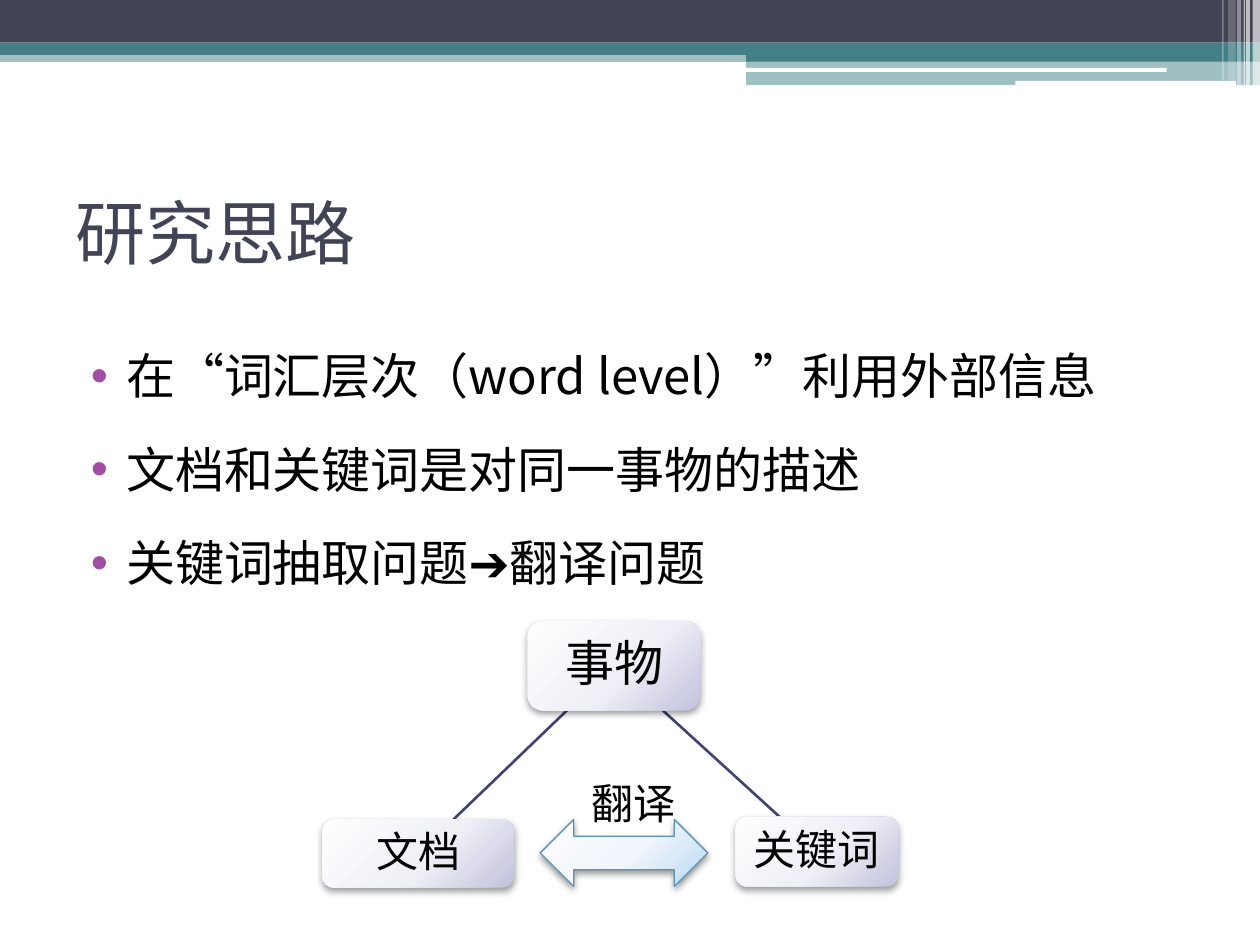
from lxml.etree import SubElement
from pptx import Presentation
from pptx.dml.color import RGBColor
from pptx.enum.lang import MSO_LANGUAGE_ID
from pptx.enum.shapes import MSO_CONNECTOR, MSO_SHAPE
from pptx.enum.text import MSO_ANCHOR, MSO_AUTO_SIZE, PP_ALIGN
from pptx.oxml import parse_xml
from pptx.oxml.ns import nsdecls, qn
from pptx.util import Cm, Pt

SANS = "Noto Sans CJK JP"
INK, TEAL, WHITE, BLACK = "424456", "438086", "FFFFFF", "000000"
LILAC = ("FEFEFE", "F0F1F7", "C2C2DD")
SKY = ("FEFEFF", "EFF5FB", "BAD8F2")


def paint(color, hue):
    color.rgb = RGBColor.from_string(hue)


def write(para, text, size=24, font=SANS, hue=BLACK, align=PP_ALIGN.LEFT, lead=1.0):
    para.alignment, para.line_spacing = align, lead
    run = para.add_run()
    run.text = text
    run.font.size, run.font.name = Pt(size), font
    run.font.language_id = MSO_LANGUAGE_ID.SIMPLIFIED_CHINESE
    paint(run.font.color, hue)
    SubElement(run.font._element, qn("a:ea"), typeface=SANS)


def place(shape, box):
    shape.left, shape.top, shape.width, shape.height = (Cm(v) for v in box)


def block(slide, box, hue, alpha=100, kind=MSO_SHAPE.RECTANGLE):
    """Add a plain shape with a solid fill of alpha percent."""
    shape = slide.shapes.add_shape(kind, *(Cm(v) for v in box))
    shape.shadow.inherit = False
    shape.line.fill.background()
    shape.fill.solid()
    paint(shape.fill.fore_color, hue)
    if alpha < 100:
        tint = shape.fill._xPr.find(".//" + qn("a:srgbClr"))
        SubElement(tint, qn("a:alpha"), val=str(alpha * 1000))
    return shape


def gloss(shape, hues):
    """Give a shape a round gradient and a soft shadow below it."""
    stops = "".join(
        f'<a:gs pos="{pos}000"><a:srgbClr val="{hue}"/></a:gs>'
        for pos, hue in zip((0, 55, 100), hues))
    props = shape._element.spPr
    props.replace(props.find(qn("a:solidFill")), parse_xml(
        f'<a:gradFill {nsdecls("a")} rotWithShape="1"><a:gsLst>{stops}</a:gsLst>'
        '<a:path path="circle"><a:fillToRect l="-40000" t="-90000" r="140000" '
        'b="190000"/></a:path></a:gradFill>'))
    props.replace(props.find(qn("a:effectLst")), parse_xml(
        f'<a:effectLst {nsdecls("a")}><a:outerShdw blurRad="{Pt(4.1)}" '
        f'dist="{Pt(2)}" dir="5400000" rotWithShape="0"><a:srgbClr val="{BLACK}">'
        '<a:alpha val="40000"/></a:srgbClr></a:outerShdw></a:effectLst>'))


def banner(slide, box):
    x, y, w, h = box
    half, right = x + 15.04, x + w
    for left, top, high, hue, alpha in (
            (x, 1.02, 0.23, TEAL, 50), (x, 0, 0.86, INK, 100),
            (x, 0.86, 0.25, TEAL, 100), (half, 0.99, 0.25, TEAL, 100),
            (half, 1.22, 0.5, TEAL, 50)):
        block(slide, (left, y + top, right - left, high), hue, alpha)
    for left, top, wide, high in ((15.01, 1.37, 8.51, 0.08), (20.47, 1.63, 4.45, 0.1)):
        block(slide, (x + left, y + top, wide, high), WHITE,
              kind=MSO_SHAPE.ROUNDED_RECTANGLE)
    for back, wide, high, alpha in (
            (0.15, 0.15, h, 65), (0.28, 0.08, h, 65), (0.33, 0.03, h, 60),
            (0.46, 0.08, h, 40), (0.64, 0.15, 1.63, 20), (0.76, 0.03, 1.63, 30)):
        block(slide, (right - back, y, wide, high), WHITE, alpha)


def title(slide, box, text):
    shape = slide.shapes.title
    place(shape, box)
    frame = shape.text_frame
    frame.vertical_anchor = MSO_ANCHOR.MIDDLE
    write(frame.paragraphs[0], text, size=40, font="Karla", hue=INK)


def points(slide, box, items):
    shape = slide.placeholders[1]
    place(shape, box)
    frame = shape.text_frame
    frame.auto_size = MSO_AUTO_SIZE.NONE
    for i, item in enumerate(items):
        para = frame.add_paragraph() if i else frame.paragraphs[0]
        props = para._p.get_or_add_pPr()
        props.set("marL", str(Cm(1.02)))
        props.set("indent", str(Cm(-0.71)))
        tint = SubElement(props, qn("a:buClr"))
        SubElement(tint, qn("a:srgbClr"), val="A04DA3")
        SubElement(props, qn("a:buFont"), typeface="Arial")
        SubElement(props, qn("a:buChar"), char="•")
        para.space_before = Pt(3 if i else 0)
        write(para, item, size=28, lead=1.5)


def node(slide, box, text, size):
    shape = block(slide, box, WHITE, kind=MSO_SHAPE.ROUNDED_RECTANGLE)
    shape.adjustments[0] = 0.1667
    gloss(shape, LILAC)
    frame = shape.text_frame
    frame.word_wrap = True
    frame.vertical_anchor = MSO_ANCHOR.MIDDLE
    frame.margin_left = frame.margin_right = Cm(0.2)
    frame.margin_top = frame.margin_bottom = Cm(0.2)
    write(frame.paragraphs[0], text, size=size, font="Arial",
          align=PP_ALIGN.CENTER, lead=0.9)


def link(slide, start, end):
    line = slide.shapes.add_connector(
        MSO_CONNECTOR.STRAIGHT, *(Cm(v) for v in start + end))
    line.line.width = Pt(1.5)
    paint(line.line.color, "42436F")
    SubElement(line._element.spPr, qn("a:effectLst"))


def graph(slide, box):
    """Draw the thing above, linked to its document and keywords."""
    x, y, w, h = box
    low = y + 4.0
    link(slide, (x + 4.93, y + 1.8), (x + 2.64, low))
    link(slide, (x + 6.86, y + 1.8), (x + 9.22, low - 0.05))
    node(slide, (x + 4.14, y, 3.48, 1.8), "事物", 28)
    node(slide, (x, low, 3.86, h - 4.0), "文档", 24)
    node(slide, (x + w - 3.28, low - 0.05, 3.28, 1.4), "关键词", 24)
    arrow = block(slide, (x + 4.39, low, 3.38, 1.35), WHITE,
                  kind=MSO_SHAPE.LEFT_RIGHT_ARROW)
    arrow.line.width = Pt(0.75)
    paint(arrow.line.color, "5C92B5")
    gloss(arrow, SKY)
    label = slide.shapes.add_textbox(*(Cm(v) for v in (x + 5.18, y + 3.02, 2.24, 1.27)))
    label.text_frame.word_wrap = False
    write(label.text_frame.paragraphs[0], "翻译")


def main():
    deck = Presentation()
    deck.slide_width, deck.slide_height = Cm(25.4), Cm(19.05)
    slide = deck.slides.add_slide(deck.slide_layouts[1])
    banner(slide, (0, 0, 25.4, 1.73))
    title(slide, (1.27, 3.18, 22.86, 2.97), "研究思路")
    points(slide, (1.27, 6.25, 22.86, 12.01), (
        "在“词汇层次（word level）”利用外部信息",
        "文档和关键词是对同一事物的描述",
        "关键词抽取问题➔翻译问题"))
    graph(slide, (6.5, 12.52, 11.61, 5.37))
    deck.save("out.pptx")


if __name__ == "__main__":
    main()
